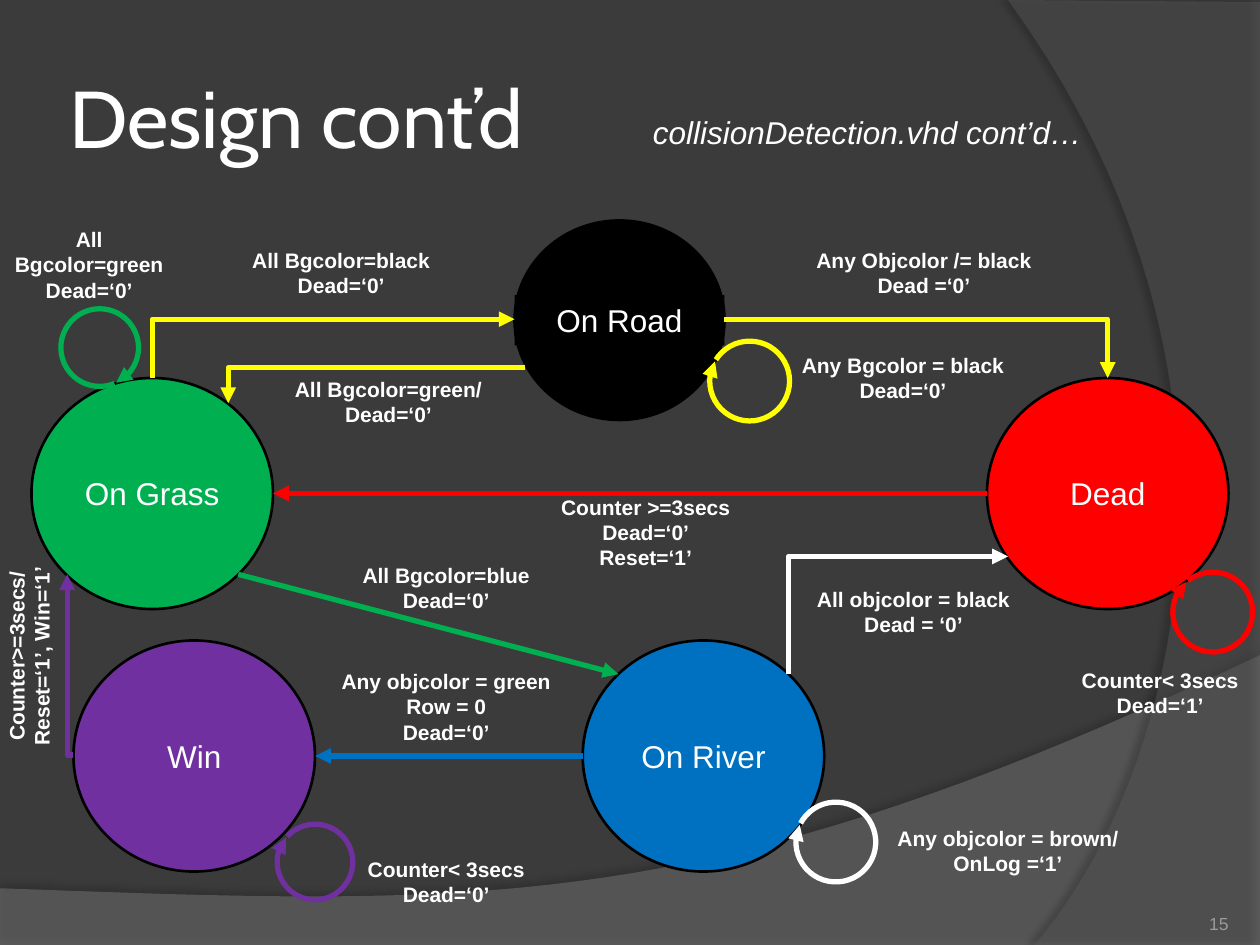
"""Build the collision detection state diagram slide."""
from dataclasses import dataclass
from typing import Optional

from lxml import etree
from pptx import Presentation
from pptx import util as u
from pptx.dml.color import RGBColor
from pptx.enum import shapes, text
from pptx.oxml.ns import qn

COLUMNS, ROWS = 120, 90
CELL = u.Inches(10) // COLUMNS
COLORS = {
    "background": "3B3B3B", "wave": "7F7F7F", "curve": "5E5E5E", "number": "9D9B9A",
    "white": "FFFFFF", "black": "000000", "green": "00B050", "red": "FF0000",
    "purple": "7030A0", "blue": "0070C0", "yellow": "FFFF00",
}
ALIGN = text.PP_ALIGN
ANCHOR = text.MSO_ANCHOR
Point = tuple[float, float]


@dataclass
class State:
    name: str
    color: str
    left: float
    top: float
    width: float = 23
    height: float = 22
    label_fill: Optional[str] = None


@dataclass
class Elbow:
    start: Point
    end: Point
    color: str
    vertical_first: bool = False


@dataclass
class Loop:
    left: float
    top: float
    size: float
    rotation: float
    color: str


@dataclass
class Condition:
    words: str
    left: float
    top: float
    width: float
    rotation: float = 0


STATES = [
    State("On Grass", "green", 3, 36),
    State("On Road", "black", 49, 21, 20, 19, "black"),
    State("Dead", "red", 94, 36),
    State("Win", "purple", 7, 61),
    State("On River", "blue", 55.5, 61),
]
ELBOWS = [
    Elbow((14.5, 36), (49, 30.4), "yellow", True),
    Elbow((50, 35), (21.75, 38.4), "yellow"),
    Elbow((69, 30.4), (105.5, 36), "yellow"),
    Elbow((75.1, 64.2), (96, 53), "white", True),
    Elbow((7, 71.9), (6.4, 54.7), "purple"),
]
LOOPS = [
    Loop(111.7, 54.5, 7.6, 57.4, "red"),
    Loop(67.6, 32.5, 7.6, 38, "yellow"),
    Loop(26.4, 78.5, 7.2, 48.4, "purple"),
    Loop(5.8, 29.4, 7.4, 253.3, "green"),
    Loop(75.8, 76.4, 7.6, 33.7, "white"),
]
CONDITIONS = [
    Condition("All Bgcolor=black\nDead=‘0’", 21, 23, 23),
    Condition("All Bgcolor=green/\nDead=‘0’", 24, 35.25, 26),
    Condition("Any Objcolor /= black\nDead =‘0’", 73, 23, 30),
    Condition("Counter< 3secs\nDead=‘1’", 95, 63, 31),
    Condition("Counter >=3secs\nDead=‘0’\nReset=‘1’", 49, 46.5, 25),
    Condition("All objcolor = black\nDead = ‘0’", 73, 55.3, 28),
    Condition("All Bgcolor=blue\nDead=‘0’", 29, 53, 27),
    Condition("Any objcolor = green\nRow = 0\nDead=‘0’", 29, 63.1, 27),
    Condition("Counter< 3secs\nDead=‘0’", 30, 81, 25),
    Condition("Any objcolor = brown/\nOnLog =‘1’", 81, 78, 30),
    Condition("Any Bgcolor = black\nDead=‘0’", 72, 33, 28),
    Condition("All\nBgcolor=green\nDead=‘0’", -3, 21, 23),
    Condition("Counter>=3secs/\nReset=‘1’, Win=‘1’", -9.75, 59.5, 25, 270),
]


def cells(*counts: float) -> list[int]:
    return [round(count * CELL) for count in counts]


def rgb(color: str) -> RGBColor:
    return RGBColor.from_string(COLORS[color])


def write(shape, words: str, *, size: float, font: str = "Arial", color: str = "white",
          bold: bool = False, italic: bool = False, align=ALIGN.CENTER, anchor=ANCHOR.TOP,
          inset: Optional[float] = None, grow: bool = True) -> None:
    frame = shape.text_frame
    frame.word_wrap = True
    frame.auto_size = text.MSO_AUTO_SIZE.SHAPE_TO_FIT_TEXT if grow else text.MSO_AUTO_SIZE.NONE
    frame.vertical_anchor = anchor
    if inset is not None:
        frame.margin_left = frame.margin_right = u.Inches(inset)
        frame.margin_top = frame.margin_bottom = u.Inches(inset)
    frame.text = words
    for paragraph in frame.paragraphs:
        paragraph.alignment = align
        for run in paragraph.runs:
            run.font.size, run.font.name = u.Pt(size), font
            run.font.bold, run.font.italic = bold, italic
            run.font.color.rgb = rgb(color)


def add_backdrop(slide, corners: list[Point], curve: list[Point], color: str,
                 alpha: int, shadow: tuple[int, float, float, int]) -> None:
    steps = 40
    points = list(corners)
    for step in range(1, steps + 1):
        t = step / steps
        weights = ((1 - t) ** 3, 3 * t * (1 - t) ** 2, 3 * t * t * (1 - t), t ** 3)
        nodes = [corners[-1], *curve]
        points.append(tuple(sum(w * node[axis] for w, node in zip(weights, nodes)) for axis in (0, 1)))
    scaled = [tuple(cells(*point)) for point in points]
    builder = slide.shapes.build_freeform(*scaled[0])
    builder.add_line_segments(scaled[1:], close=True)
    shape = builder.convert_to_shape()
    shape.shadow.inherit = False
    shape.fill.solid()
    shape.fill.fore_color.rgb = rgb(color)
    shape.line.fill.background()
    properties = shape._element.spPr
    fill = properties.find(qn("a:solidFill"))[0]
    etree.SubElement(fill, qn("a:alpha"), val=str(alpha * 1000))
    opacity, blur, distance, direction = shadow
    outer = etree.SubElement(properties.find(qn("a:effectLst")), qn("a:outerShdw"),
                             blurRad=str(u.Pt(blur)), dist=str(u.Pt(distance)),
                             dir=str(direction * 60000), rotWithShape="0")
    tint = etree.SubElement(outer, qn("a:srgbClr"), val=COLORS["black"])
    etree.SubElement(tint, qn("a:alpha"), val=str(opacity * 1000))


def add_state(slide, state: State):
    group = slide.shapes.add_group_shape()
    ellipse = group.shapes.add_shape(
        shapes.MSO_SHAPE.OVAL, *cells(state.left, state.top, state.width, state.height))
    ellipse.shadow.inherit = False
    ellipse.fill.solid()
    ellipse.fill.fore_color.rgb = rgb(state.color)
    ellipse.line.color.rgb = rgb("black")
    ellipse.line.width = u.Pt(1.5)
    height = 4.8
    label = group.shapes.add_textbox(
        *cells(state.left, state.top + (state.height - height) / 2, state.width, height))
    if state.label_fill:
        label.fill.solid()
        label.fill.fore_color.rgb = rgb(state.label_fill)
    write(label, state.name, size=18)
    return label


def style_arrow(shape, color: str) -> None:
    shape.line.color.rgb = rgb(color)
    shape.line.width = u.Pt(3)
    properties = shape._element.spPr
    etree.SubElement(properties.find(qn("a:ln")), qn("a:tailEnd"), type="triangle")
    if properties.find(qn("a:effectLst")) is None:
        etree.SubElement(properties, qn("a:effectLst"))


def add_straight(slide, start: Point, end: Point, color: str):
    connector = slide.shapes.add_connector(
        shapes.MSO_CONNECTOR.STRAIGHT, *cells(*start, *end))
    style_arrow(connector, color)
    return connector


def add_elbow(slide, elbow: Elbow) -> None:
    connector = slide.shapes.add_connector(
        shapes.MSO_CONNECTOR.ELBOW, *cells(*elbow.start, *elbow.end))
    properties = connector._element.spPr
    properties.find(qn("a:prstGeom")).set("prst", "bentConnector2")
    if elbow.vertical_first:
        width, height = connector.width, connector.height
        connector.left += (width - height) // 2
        connector.top += (height - width) // 2
        connector.width, connector.height = height, width
        connector.rotation = 90
        frame = properties.find(qn("a:xfrm"))
        frame.set("flipH", str(int(elbow.end[1] < elbow.start[1])))
        frame.set("flipV", str(int(elbow.end[0] > elbow.start[0])))
    style_arrow(connector, elbow.color)


def add_loop(slide, loop: Loop) -> None:
    arc = slide.shapes.add_shape(
        shapes.MSO_SHAPE.ARC, *cells(loop.left, loop.top, loop.size, loop.size))
    arc.adjustments[0], arc.adjustments[1] = 104.6, 103.01
    arc.rotation = loop.rotation
    arc.shadow.inherit = False
    arc.fill.background()
    style_arrow(arc, loop.color)


def add_text(slide, words: str, left: float, top: float, width: float, height: float, **style):
    box = slide.shapes.add_textbox(*cells(left, top, width, height))
    write(box, words, **style)
    return box


def main() -> None:
    presentation = Presentation()
    presentation.slide_width, presentation.slide_height = cells(COLUMNS, ROWS)
    slide = presentation.slides.add_slide(presentation.slide_layouts[5])
    slide.background.fill.solid()
    slide.background.fill.fore_color.rgb = rgb("background")
    add_backdrop(slide, [(0, ROWS), (COLUMNS, ROWS), (COLUMNS, 62.4)],
                 [(67.1, 87.5), (46.9, 86.3), (0, 84.6)], "wave", 45, (35, 4, 3.5, 270))
    add_backdrop(slide, [(COLUMNS, 0.2), (COLUMNS, ROWS), (98.5, ROWS)],
                 [(112.2, 74.3), (122.2, 36), (96, 0)], "curve", 40, (45, 4, 4, 180))
    labels = {state.name: add_state(slide, state) for state in STATES}
    for elbow in ELBOWS:
        add_elbow(slide, elbow)
    add_straight(slide, (22.7, 54.7), (58.9, 64.2), "green")
    for source, target, color in (("Dead", "On Grass", "red"), ("On River", "Win", "blue")):
        connector = add_straight(slide, (0, 0), (0, 0), color)
        connector.begin_connect(labels[source], 1)
        connector.end_connect(labels[target], 3)
    for loop in LOOPS:
        add_loop(slide, loop)
    for condition in CONDITIONS:
        height = 1 + 2.5 * len(condition.words.splitlines())
        box = add_text(slide, condition.words, condition.left, condition.top,
                       condition.width, height, size=12, bold=True)
        box.rotation = condition.rotation
    title = slide.shapes.title
    title.left, title.top, title.width, title.height = cells(6, 3.6, 98, 15)
    write(title, "Design cont’d", size=46, font="Cabin", align=ALIGN.LEFT,
          anchor=ANCHOR.MIDDLE, inset=0.05, grow=False)
    add_text(slide, "collisionDetection.vhd cont’d…", 61, 10.2, 45, 4.8,
             size=18, italic=True, align=ALIGN.LEFT)
    add_text(slide, "15", 107, 84.2, 10, 4.8, size=10, color="number", align=ALIGN.RIGHT,
             anchor=ANCHOR.BOTTOM, inset=0, grow=False)
    presentation.save("out.pptx")


if __name__ == "__main__":
    main()
